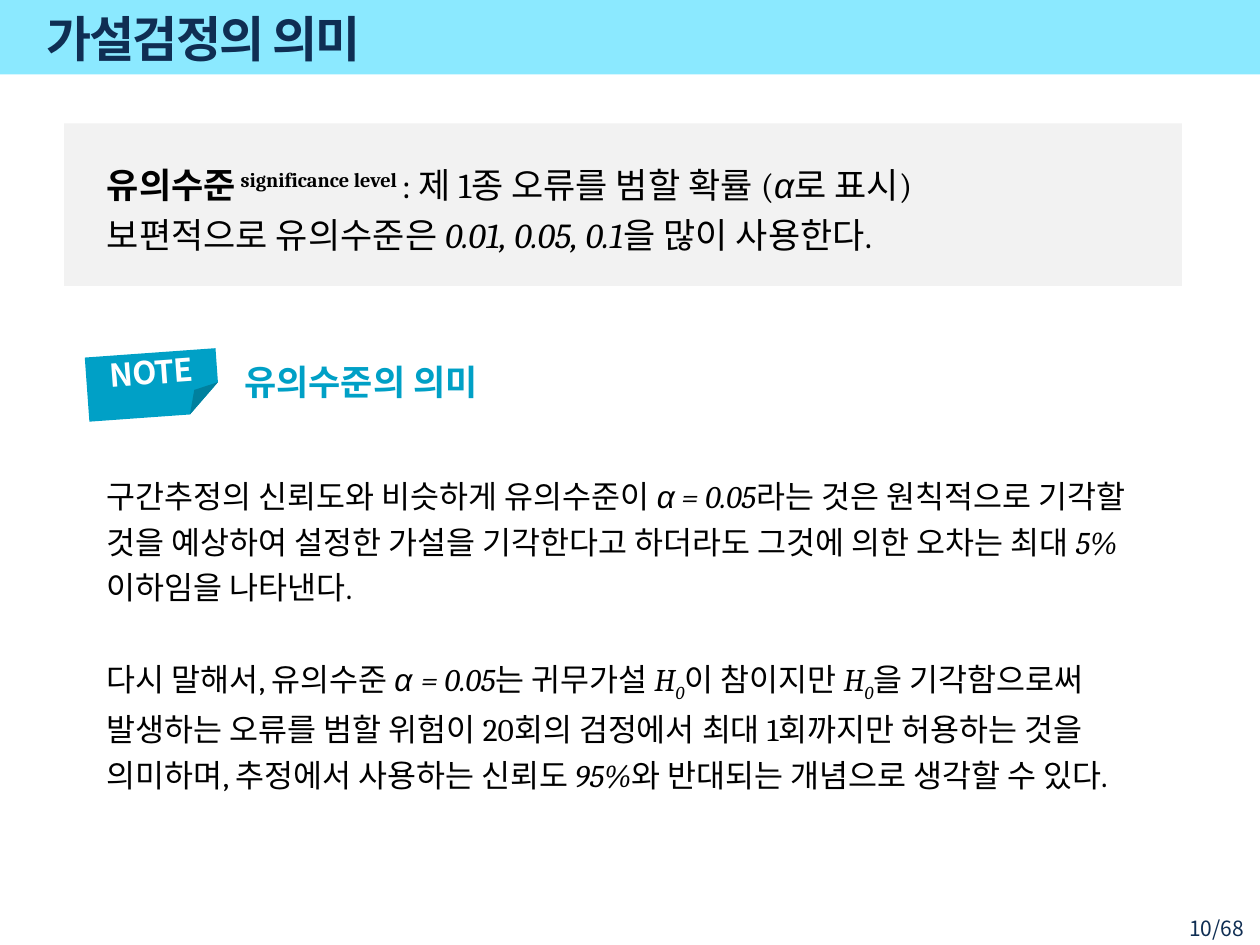
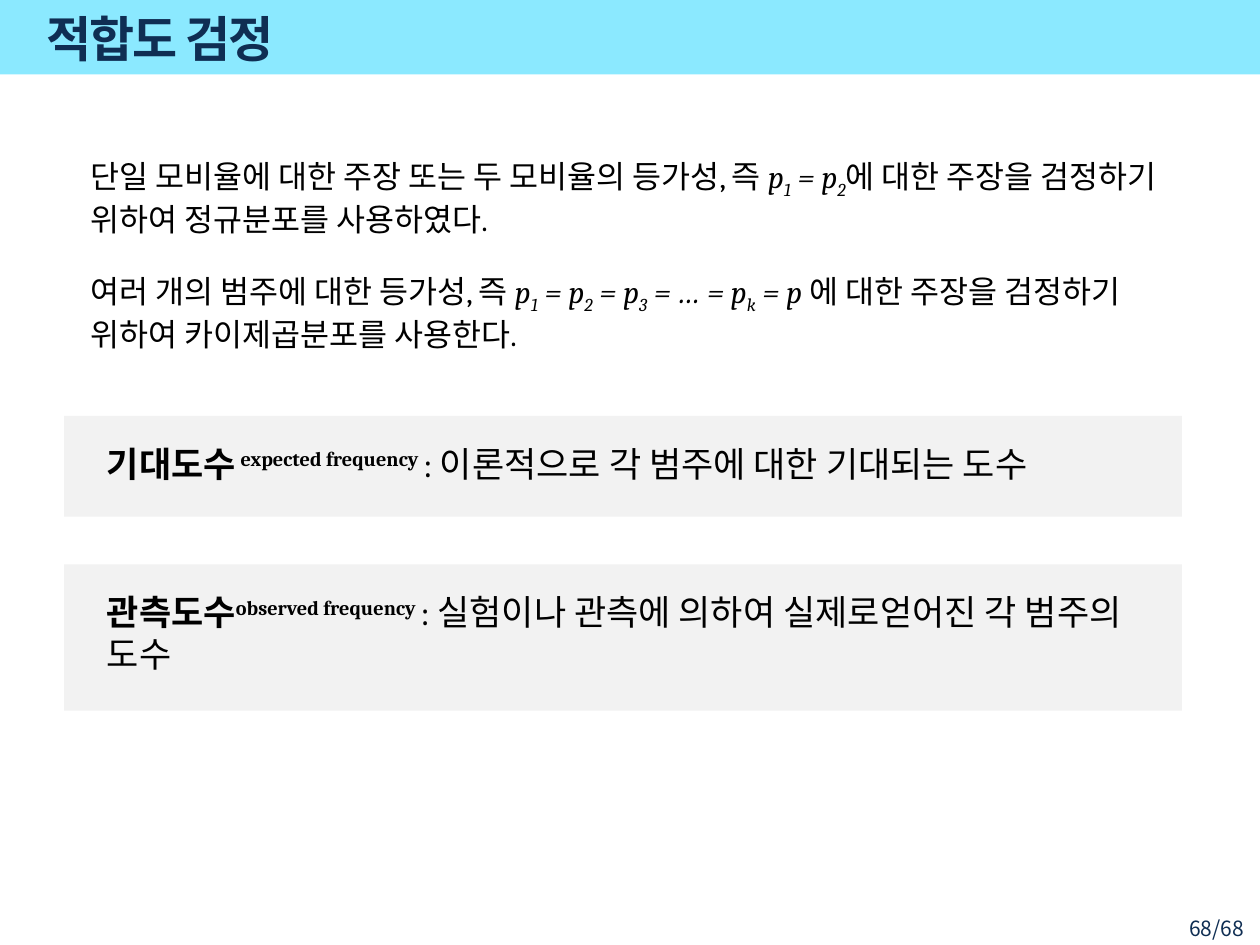
from dataclasses import dataclass
from typing import NamedTuple

from lxml import etree
from pptx import Presentation
from pptx.dml.color import RGBColor
from pptx.enum.shapes import MSO_SHAPE
from pptx.enum.text import MSO_ANCHOR, PP_ALIGN
from pptx.oxml.ns import qn
from pptx.util import Pt

RECT, FOLD = MSO_SHAPE.RECTANGLE, MSO_SHAPE.FOLDED_CORNER
TOP, MIDDLE = MSO_ANCHOR.TOP, MSO_ANCHOR.MIDDLE
LEFT, CENTER, RIGHT = PP_ALIGN.LEFT, PP_ALIGN.CENTER, PP_ALIGN.RIGHT
PX = 9144


@dataclass(frozen=True)
class Theme:
    """Colours, fonts and type sizes of the deck."""
    band: str = "8BE9FF"
    navy: str = "0F2E53"
    panel: str = "F2F2F2"
    accent: str = "00A0C6"
    ink: str = "000000"
    white: str = "FFFFFF"
    serif: str = "Cambria"
    sans: str = "Noto Sans CJK KR"
    greek: str = "Arial"
    title: int = 28
    term: int = 20
    body: int = 18
    foot: int = 12


THEME = Theme()


class Box(NamedTuple):
    """Left, top, width and height in px."""
    x: int
    y: int
    w: int
    h: int


class Bit(NamedTuple):
    """A run of text with its marks."""
    text: str
    bold: bool = False
    ital: bool = False
    base: int = 0
    face: str = THEME.serif


@dataclass(frozen=True)
class Style:
    """Looks shared by all runs and paragraphs of one text."""
    size: int = THEME.body
    color: str = THEME.ink
    align: PP_ALIGN = LEFT
    lead: float = 1.0
    gap: int = 0
    track: int = 0


@dataclass(frozen=True)
class Panel:
    """A grey panel that defines a term."""
    y: int
    h: int
    inset: int
    lines: list
    lead: float = 1.0


def ital(text: str) -> Bit:
    """Return an italic run."""
    return Bit(text, ital=True)


def sub(text: str) -> Bit:
    """Return an italic subscript run."""
    return Bit(text, ital=True, base=-25)


def alpha(text: str = "α") -> Bit:
    """Return an italic Greek run."""
    return Bit(text, ital=True, face=THEME.greek)


def term(name: str, english: str) -> list:
    """Return a bold term with its raised English name."""
    return [Bit(name, bold=True), Bit(english, bold=True, base=30)]


def chain(*marks: str) -> list:
    """Return an equality of p with the given subscripts."""
    bits = []
    for i, mark in enumerate(marks):
        lead = "" if i == 0 else " = … = " if mark == "k" else " = "
        bits += [ital(lead + "p"), sub(mark)]
    return bits


def scale(box: Box) -> list:
    """Return the box in EMU."""
    return [n * PX for n in box]


def fill(frame, lines: list, style: Style) -> None:
    """Write lines of runs into a text frame."""
    for i, line in enumerate(lines):
        para = frame.paragraphs[0] if i == 0 else frame.add_paragraph()
        para.alignment, para.line_spacing = style.align, style.lead
        if i:
            para.space_before = Pt(style.gap)
        for bit in line:
            run = para.add_run()
            run.text = bit.text
            font = run.font
            font.name, font.size = bit.face, Pt(style.size)
            font.bold, font.italic = bit.bold, bit.ital
            font.color.rgb = RGBColor.from_string(style.color)
            props = run._r.get_or_add_rPr()
            etree.SubElement(props, qn("a:ea")).set("typeface", THEME.sans)
            if bit.base:
                props.set("baseline", str(bit.base * 1000))
            if style.track:
                props.set("spc", str(style.track))


def write(slide, box: Box, lines: list, style: Style,
          anchor: MSO_ANCHOR = TOP, wrap: bool = True) -> None:
    """Add a text box."""
    frame = slide.shapes.add_textbox(*scale(box)).text_frame
    frame.word_wrap, frame.vertical_anchor = wrap, anchor
    fill(frame, lines, style)


def block(slide, box: Box, color: str, kind: MSO_SHAPE = RECT):
    """Add a plain filled shape."""
    shape = slide.shapes.add_shape(kind, *scale(box))
    shape.shadow.inherit = False
    shape.fill.solid()
    shape.fill.fore_color.rgb = RGBColor.from_string(color)
    shape.line.fill.background()
    return shape


def start(deck, title: str, page: str):
    """Add a slide with band, page number and title."""
    slide = deck.slides.add_slide(deck.slide_layouts[6])
    block(slide, Box(0, -2, 1000, 61), THEME.band)
    write(slide, Box(905, 722, 92, 23), [[Bit(page, face=THEME.sans)]],
          Style(THEME.foot, THEME.navy, RIGHT))
    write(slide, Box(27, 4, 831, 52), [[Bit(title, bold=True)]],
          Style(THEME.title, THEME.navy, track=-100), MIDDLE)
    return slide


def define(slide, panel: Panel) -> None:
    """Draw a panel and its text."""
    block(slide, Box(51, panel.y, 887, panel.h), THEME.panel)
    area = Box(75, panel.y + panel.inset, 842, panel.h - 2 * panel.inset)
    write(slide, area, panel.lines, Style(THEME.term, lead=panel.lead))


def crease(shape, share: float) -> None:
    """Set the size of a folded corner."""
    geom = next(shape._element.iter(qn("a:prstGeom")))
    guides = geom.find(qn("a:avLst"))
    if guides is None:
        guides = etree.SubElement(geom, qn("a:avLst"))
    guide = etree.SubElement(guides, qn("a:gd"))
    guide.set("name", "adj")
    guide.set("fmla", f"val {round(share * 100000)}")


def note(slide, label: str, head: str) -> None:
    """Draw the tilted tag and its heading."""
    tag = block(slide, Box(69, 280, 104, 51), THEME.accent, FOLD)
    crease(tag, 0.47)
    tag.rotation = 355.9
    frame = tag.text_frame
    frame.vertical_anchor = TOP
    frame.margin_top = frame.margin_bottom = 0
    fill(frame, [[Bit(label, bold=True, face=THEME.sans)]],
         Style(THEME.body, THEME.white, CENTER, track=-50))
    write(slide, Box(184, 281, 231, 44), [[Bit(head, bold=True)]],
          Style(THEME.term, THEME.accent), wrap=False)


def level(deck) -> None:
    """Build the slide on the significance level."""
    slide = start(deck, "가설검정의 의미", "10/68")
    define(slide, Panel(98, 129, 20, [
        term("유의수준", " significance level ")
        + [Bit(": 제 1종 오류를 범할 확률 ("), alpha(), Bit("로 표시)")],
        [Bit("보편적으로 유의수준은 "), ital("0.01, 0.05, 0.1"),
         Bit("을 많이 사용한다.")],
    ], 1.2))
    note(slide, "NOTE", "유의수준의 의미")
    null = [ital("H"), sub("0")]
    write(slide, Box(75, 368, 859, 298), [
        [Bit("구간추정의 신뢰도와 비슷하게 유의수준이 "), alpha(),
         ital(" = 0.05"),
         Bit("라는 것은 원칙적으로 기각할 것을 예상하여 설정한 가설을 "
             "기각한다고 하더라도 그것에 의한 오차는 최대 "),
         ital("5%"), Bit("이하임을 나타낸다.")],
        [Bit("다시 말해서, 유의수준 "), alpha("α "), ital("= 0.05"),
         Bit("는 귀무가설 "), *null, Bit("이 참이지만 "), *null,
         Bit("을 기각함으로써 발생하는 오류를 범할 위험이 20회의 검정에서 "
             "최대 1회까지만 허용하는 것을 의미하며, 추정에서 사용하는 신뢰도 "),
         ital("95%"), Bit("와 반대되는 개념으로 생각할 수 있다.")],
    ], Style(lead=1.2, gap=26))


def fit(deck) -> None:
    """Build the slide on the goodness of fit."""
    slide = start(deck, "적합도 검정", "68/68")
    claims = [
        [Bit("단일 모비율에 대한 주장 또는 두 모비율의 등가성, 즉 "),
         *chain("1", "2"),
         Bit("에 대한 주장을 검정하기 위하여 정규분포를 사용하였다.")],
        [Bit("여러 개의 범주에 대한 등가성, 즉 "),
         *chain("1", "2", "3", "k"), ital(" = p "),
         Bit("에 대한 주장을 검정하기 위하여 카이제곱분포를 사용한다.")],
    ]
    for i, claim in enumerate(claims):
        write(slide, Box(62, 120 + 91 * i, 898, 71), [claim], Style())
    panels = [
        Panel(330, 80, 16, [term("기대도수", " expected frequency ")
              + [Bit(": 이론적으로 각 범주에 대한 기대되는 도수")]]),
        Panel(448, 116, 16, [term("관측도수", "observed frequency ")
              + [Bit(": 실험이나 관측에 의하여 실제로얻어진 각 범주의 도수")]]),
    ]
    for panel in panels:
        define(slide, panel)


def main() -> None:
    """Build and save the deck."""
    deck = Presentation()
    deck.slide_width, deck.slide_height = 1000 * PX, 750 * PX
    level(deck)
    fit(deck)
    deck.save("out.pptx")


if __name__ == "__main__":
    main()
